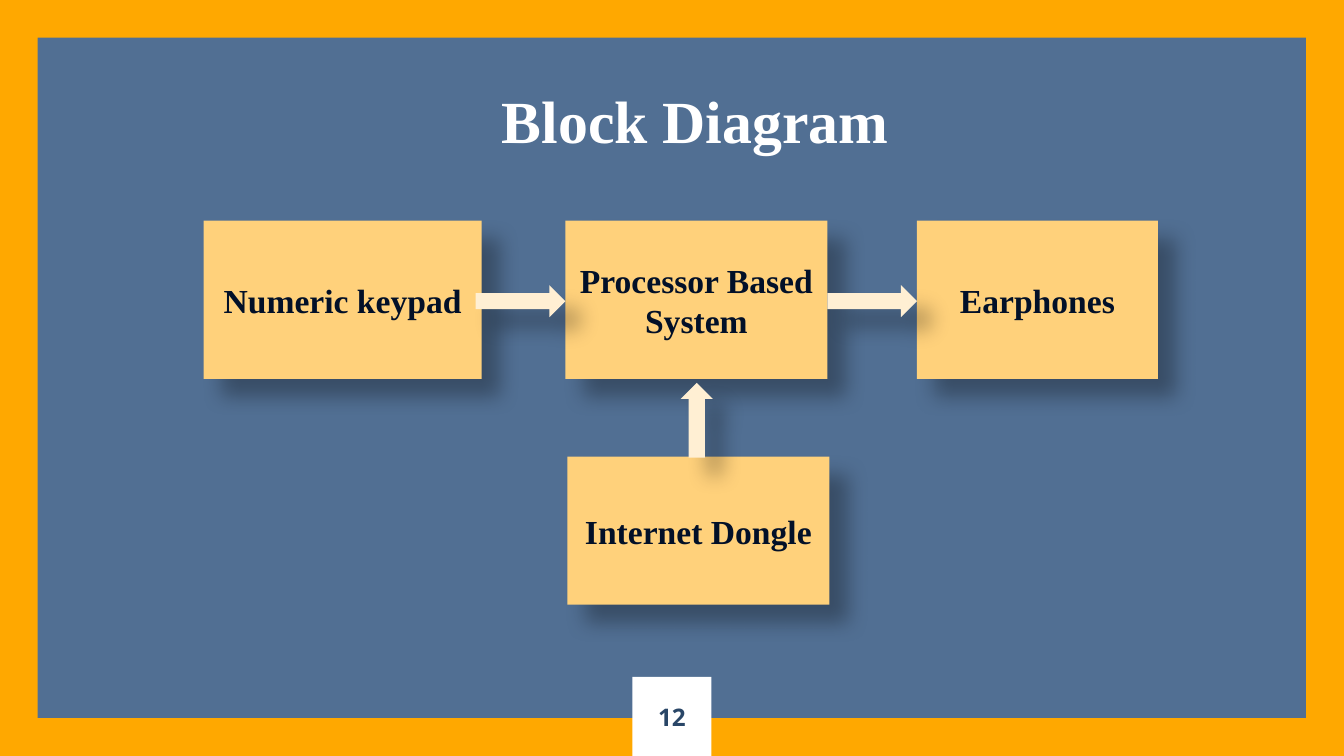
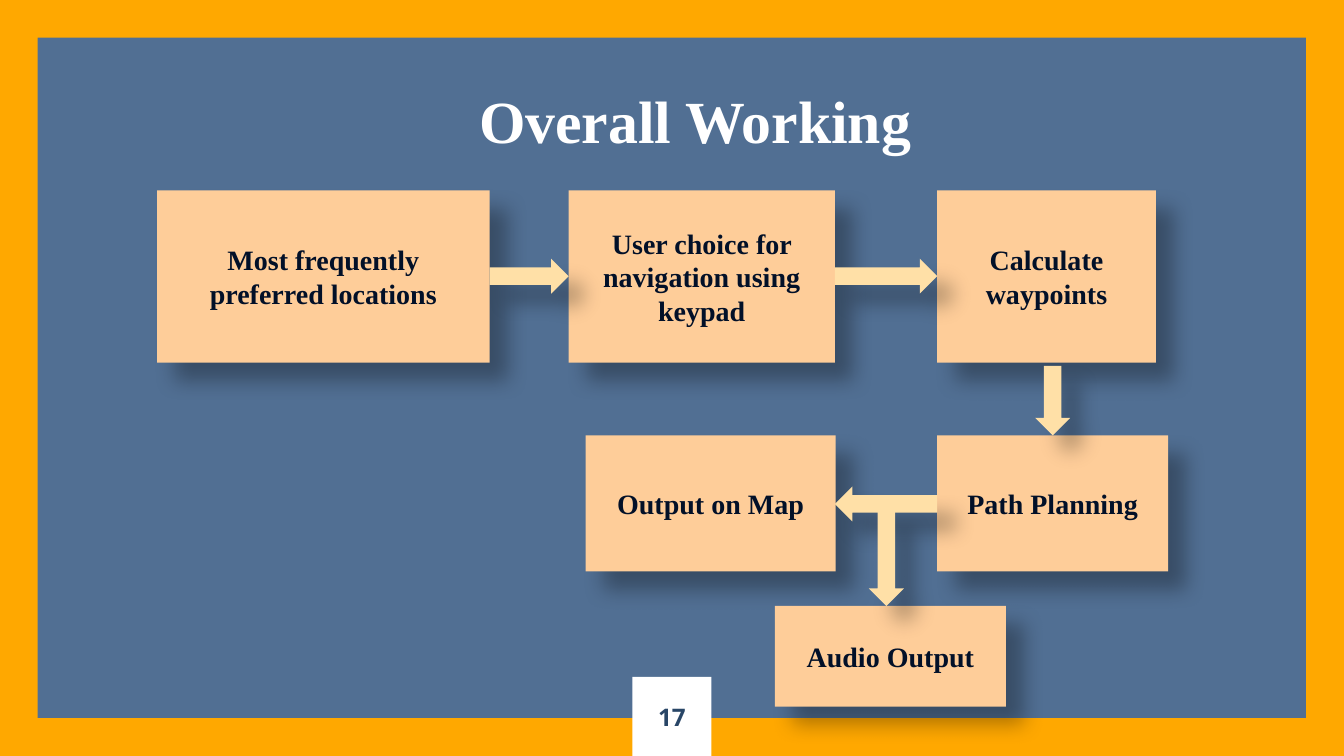
from dataclasses import dataclass

from lxml import etree
from pptx import Presentation
from pptx.dml.color import RGBColor as RGB
from pptx.enum.shapes import MSO_SHAPE as SHAPE
from pptx.enum.text import MSO_ANCHOR as ANCHOR, MSO_AUTO_SIZE as AUTO, PP_ALIGN as ALIGN
from pptx.oxml.ns import qn
from pptx.util import Cm, Pt


@dataclass(frozen=True)
class Theme:
    page: str = "516F93"
    border: str = "FFA800"
    white: str = "FFFFFF"
    number: str = "294667"
    ink: str = "021028"
    serif: str = "Times New Roman"
    sans: str = "Open Sans"
    title_size: float = 42.7
    number_size: float = 17.3
    inset: float = 0.25


@dataclass(frozen=True)
class Flow:
    title: str
    number: str
    box_fill: str
    arrow_fill: str
    size: float
    thickness: float
    rows: tuple
    arrows: tuple


T = Theme()
WIDTH, HEIGHT = 33.87, 19.05

BLOCKS = Flow(
    title="Block Diagram", number="12",
    box_fill="FFD17B", arrow_fill="FFEFD3", size=24, thickness=0.81,
    rows=(
        (5.56, 3.99, (("Numeric keypad", 5.13, 7.01),
                      ("Processor Based System", 14.25, 6.6),
                      ("Earphones", 23.11, 6.07))),
        (11.51, 3.73, (("Internet Dongle", 14.3, 6.6),)),
    ),
    arrows=(
        ((11.99, 7.59), (14.25, 7.59)),
        ((20.85, 7.59), (23.11, 7.59)),
        ((17.56, 11.53), (17.56, 9.65)),
    ),
)

WORKING = Flow(
    title="Overall Working", number="17",
    box_fill="FECD99", arrow_fill="FFE0A7", size=20, thickness=0.88,
    rows=(
        (4.8, 4.34, (("Most frequently preferred locations", 3.96, 8.38),
                     ("User choice for navigation using keypad", 14.33, 6.71),
                     ("Calculate waypoints", 23.62, 5.51))),
        (10.97, 3.43, (("Output on Map", 14.76, 6.3),
                       ("Path Planning", 23.62, 5.82))),
        (15.27, 2.54, (("Audio Output", 19.53, 5.82),)),
    ),
    arrows=(
        ((12.34, 6.96), (14.33, 6.96)),
        ((21.04, 6.96), (23.62, 6.96)),
        ((23.62, 12.7), (21.04, 12.7)),
        ((22.34, 12.9), (22.34, 15.27)),
        ((26.53, 9.22), (26.53, 10.97)),
    ),
)


def apply(obj, formats):
    for name, value in formats.items():
        setattr(obj, name, value)


def write(sp, text, font, size, color, anchor=ANCHOR.MIDDLE, inset=T.inset):
    tf = sp.text_frame
    tf.text = text
    sides = ("left", "top", "right", "bottom")
    apply(tf, {f"margin_{side}": Cm(inset) for side in sides})
    apply(tf, {"word_wrap": True, "auto_size": AUTO.NONE, "vertical_anchor": anchor})
    p = tf.paragraphs[0]
    p.alignment = ALIGN.CENTER
    f = p.runs[0].font
    apply(f, {"name": font, "size": Pt(size), "bold": True})
    f.color.rgb = RGB.from_string(color)


def add_plain(s, kind, left, top, width, height, fill):
    sp = s.shapes.add_shape(kind, Cm(left), Cm(top), Cm(width), Cm(height))
    sp.fill.solid()
    sp.fill.fore_color.rgb = RGB.from_string(fill)
    sp.line.fill.background()
    sp.shadow.inherit = False
    return sp


def add_shadow(sp):
    effects = sp.element.spPr.find(qn("a:effectLst"))
    shadow = etree.SubElement(effects, qn("a:outerShdw"), {
        "blurRad": str(Pt(15)), "dist": str(Pt(18)), "dir": str(45 * 60000),
        "algn": "tl", "rotWithShape": "0"})
    color = etree.SubElement(shadow, qn("a:srgbClr"), val="000000")
    etree.SubElement(color, qn("a:alpha"), val="30000")


def add_box(s, text, left, top, width, height, flow):
    sp = add_plain(s, SHAPE.RECTANGLE, left, top, width, height, flow.box_fill)
    add_shadow(sp)
    write(sp, text, T.serif, flow.size, T.ink)


def add_arrow(s, start, end, flow):
    (x1, y1), (x2, y2) = start, end
    t = flow.thickness
    if y1 == y2:
        kind = SHAPE.RIGHT_ARROW if x2 > x1 else SHAPE.LEFT_ARROW
        place = min(x1, x2), y1 - t / 2, abs(x2 - x1), t
    else:
        kind = SHAPE.DOWN_ARROW if y2 > y1 else SHAPE.UP_ARROW
        place = x1 - t / 2, min(y1, y2), t, abs(y2 - y1)
    add_shadow(add_plain(s, kind, *place, flow.arrow_fill))


def add_title(s, text):
    sp = s.shapes.title
    apply(sp, {"left": Cm(5.5), "top": Cm(1.78), "width": Cm(24.05), "height": Cm(3)})
    write(sp, text, T.serif, T.title_size, T.white, ANCHOR.TOP, 0.33)


def add_number(s, number):
    sp = add_plain(s, SHAPE.RECTANGLE, 15.94, 17.06, 1.99, 1.99, T.white)
    write(sp, number, T.sans, T.number_size, T.number)


def style_layout(layout, s):
    fill = layout.background.fill
    fill.solid()
    fill.fore_color.rgb = RGB.from_string(T.page)
    sp = add_plain(s, SHAPE.FRAME, 0, 0, WIDTH, HEIGHT, T.border)
    sp.adjustments[0] = 0.05
    layout.shapes.element.insert(2, sp.element)


def draw_flow(s, flow):
    add_title(s, flow.title)
    add_number(s, flow.number)
    for top, height, boxes in flow.rows:
        for text, left, width in boxes:
            add_box(s, text, left, top, width, height, flow)
    for start, end in flow.arrows:
        add_arrow(s, start, end, flow)


def main():
    prs = Presentation()
    apply(prs, {"slide_width": Cm(WIDTH), "slide_height": Cm(HEIGHT)})
    layout = prs.slide_layouts.get_by_name("Title Only")
    flows = (BLOCKS, WORKING)
    slides = [prs.slides.add_slide(layout) for _ in flows]
    style_layout(layout, slides[0])
    for s, flow in zip(slides, flows):
        draw_flow(s, flow)
    prs.save("out.pptx")


if __name__ == "__main__":
    main()
